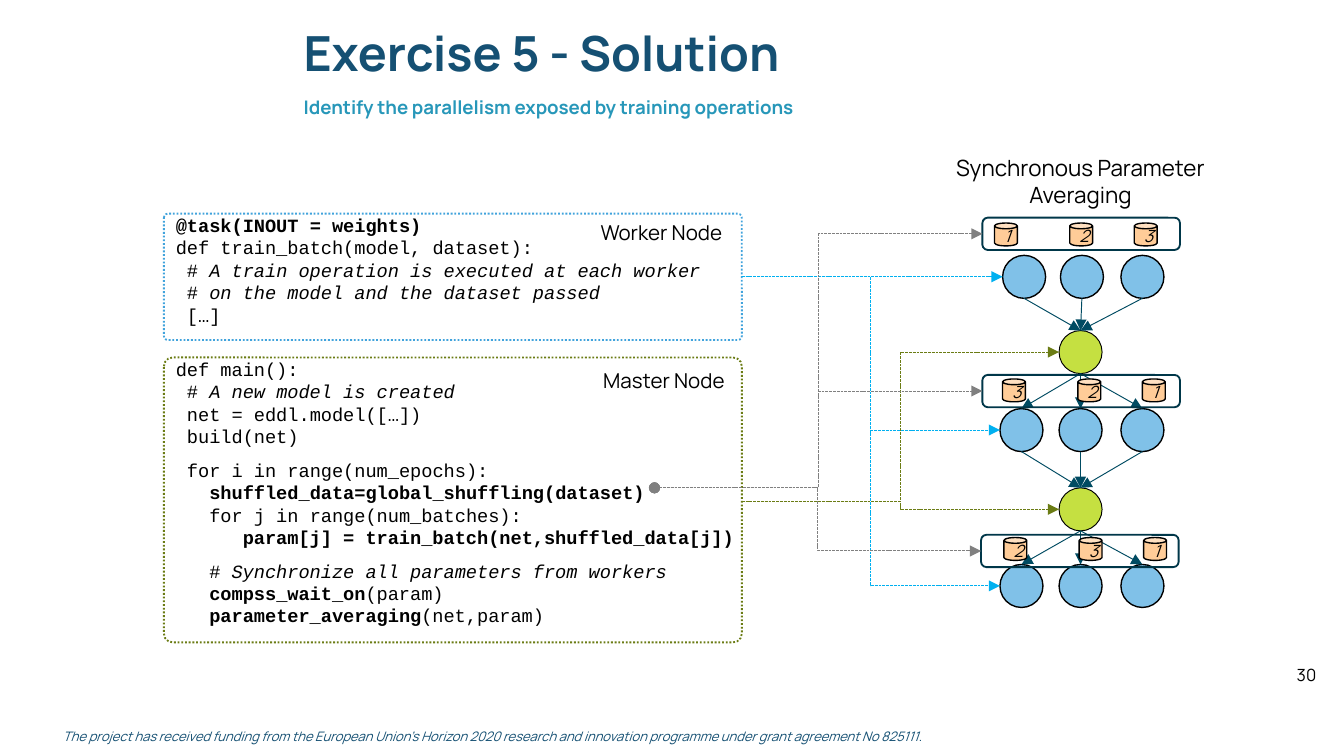
from lxml import etree
from pptx import Presentation
from pptx import util as u
from pptx.dml.color import RGBColor
from pptx.enum import dml, shapes, text
from pptx.oxml import ns

BLACK = RGBColor(0x00, 0x00, 0x00)
WHITE = RGBColor(0xFF, 0xFF, 0xFF)
NAVY = RGBColor(0x15, 0x50, 0x73)
TEAL = RGBColor(0x27, 0x97, 0xB9)
WORKER_BLUE = RGBColor(0x80, 0xC1, 0xE8)
AVERAGE_LIME = RGBColor(0xC5, 0xE0, 0x41)
DATA_PEACH = RGBColor(0xFF, 0xCC, 0x98)
FLOW = RGBColor(0x00, 0x4B, 0x62)
FRAME = RGBColor(0x00, 0x37, 0x49)
OLIVE = RGBColor(0x6B, 0x7C, 0x14)
SKY = RGBColor(0x41, 0xA3, 0xDC)
CYAN = RGBColor(0x00, 0xB0, 0xF0)
GRAY = RGBColor(0x80, 0x80, 0x80)

SHAPE = shapes.MSO_SHAPE
DASH = dml.MSO_LINE
NODE = 0.32
CAN = 0.17
CAN_OFFSETS = (0, 0.56, 1.04)
WORKER_ROWS = (
    (1.9, (7.46, 7.89, 8.34)),
    (3.04, (7.44, 7.88, 8.34)),
    (4.2, (7.44, 7.88, 8.34)),
)
AVERAGE_LEFT = 7.88
AVERAGE_TOPS = (2.46, 3.63)
DATA_ROWS = (
    (7.31, 1.62, 7.4, 1.66, "123"),
    (7.31, 2.79, 7.46, 2.82, "321"),
    (7.3, 3.98, 7.47, 4, "231"),
)
CODE = (
    (0, [("@task(INOUT = weights)", "b")]),
    (0, [("def train_batch(model, dataset):", "")]),
    (0, [(" # ", ""), ("A train operation is executed at each worker", "i")]),
    (0, [(" # ", ""), ("on the model and the dataset passed", "i")]),
    (0, [(" […]", "")]),
    (17, [("def main():", "")]),
    (0, [(" # ", ""), ("A new model is created", "i")]),
    (0, [(" net = eddl.model([…])", "")]),
    (0, [(" build(net)", "")]),
    (6, [(" for i in range(num_epochs):", "")]),
    (0, [("   shuffled_data=global_shuffling(dataset)", "b")]),
    (0, [("   for j in range(num_batches):", "")]),
    (0, [("      ", ""), ("param[j] = train_batch(net,shuffled_data[j])", "b")]),
    (6, [("   # ", ""), ("Synchronize all parameters from workers", "i")]),
    (0, [("   ", ""), ("compss_wait_on", "b"), ("(param)", "")]),
    (0, [("   ", ""), ("parameter_averaging", "b"), ("(net,param)", "")]),
)


def set_font(paragraph, size, color=BLACK, name="Manrope", bold=None, italic=None):
    """Set the font that all runs of a paragraph share."""
    font = paragraph.font
    font.name, font.size, font.bold, font.italic = name, u.Pt(size), bold, italic
    font.color.rgb = color


def add_label(slide, box, words, size, color=BLACK, wrap=True, align=None,
              left_inset=0.1, line_spacing=None, **style):
    """Add a one-paragraph text box and return its paragraph."""
    frame = slide.shapes.add_textbox(*map(u.Inches, box)).text_frame
    frame.word_wrap = wrap
    frame.margin_left = u.Inches(left_inset)
    paragraph = frame.paragraphs[0]
    paragraph.text = words
    paragraph.alignment = align
    paragraph.line_spacing = line_spacing
    set_font(paragraph, size, color, **style)
    return paragraph


def add_form(slide, kind, box, fill=None, line=None, width=0.75, dash=None, corner=None):
    """Add a preset shape with its fill and outline."""
    form = slide.shapes.add_shape(kind, *map(u.Inches, box))
    form.shadow.inherit = False
    if fill is None:
        form.fill.background()
    else:
        form.fill.solid()
        form.fill.fore_color.rgb = fill
    if line is None:
        form.line.fill.background()
    else:
        form.line.color.rgb = line
        form.line.width = u.Pt(width)
    if dash is not None:
        form.line.dash_style = dash
    if corner is not None:
        form.adjustments[0] = corner
    return form


def add_arrow(slide, start, end, color, bent=False, head=None):
    """Add an arrow, straight or as a dashed elbow."""
    kind = shapes.MSO_CONNECTOR.ELBOW if bent else shapes.MSO_CONNECTOR.STRAIGHT
    arrow = slide.shapes.add_connector(kind, *map(u.Inches, (*start, *end)))
    arrow.line.color.rgb = color
    arrow.line.width = u.Pt(0.5)
    if bent:
        arrow.line.dash_style = DASH.SQUARE_DOT
    outline = arrow.line._get_or_add_ln()
    if head:
        etree.SubElement(outline, ns.qn("a:headEnd"), type=head)
    etree.SubElement(outline, ns.qn("a:tailEnd"), type="triangle")
    etree.SubElement(arrow._element.spPr, ns.qn("a:effectLst"))


def add_code(slide):
    """Add the code listing on its white panel."""
    panel = add_form(slide, SHAPE.RECTANGLE, (1.21, 1.54, 4.38, 3.38), fill=WHITE)
    frame = panel.text_frame
    frame.vertical_anchor = text.MSO_ANCHOR.TOP
    for number, (gap, pieces) in enumerate(CODE):
        paragraph = frame.add_paragraph() if number else frame.paragraphs[0]
        paragraph.alignment = text.PP_ALIGN.JUSTIFY
        if gap:
            paragraph.space_before = u.Pt(gap)
        set_font(paragraph, 10, name="Courier New")
        for words, style in pieces:
            run = paragraph.add_run()
            run.text = words
            run.font.bold = "b" in style
            run.font.italic = "i" in style


def add_network(slide):
    """Add the worker and averaging nodes and the flow between them."""
    for top, lefts in WORKER_ROWS:
        for left in lefts:
            add_form(slide, SHAPE.OVAL, (left, top, NODE, NODE), WORKER_BLUE, BLACK)
    middle = AVERAGE_LEFT + NODE / 2
    for average_top, before, after in zip(AVERAGE_TOPS, WORKER_ROWS, WORKER_ROWS[1:]):
        add_form(slide, SHAPE.OVAL, (AVERAGE_LEFT, average_top, NODE, NODE),
                 AVERAGE_LIME, BLACK, 0.5)
        for left in before[1]:
            add_arrow(slide, (left + NODE / 2, before[0] + NODE), (middle, average_top), FLOW)
        for left in after[1]:
            add_arrow(slide, (middle, average_top + NODE), (left + NODE / 2, after[0]), FLOW)


def add_data_row(slide, frame_left, frame_top, can_left, can_top, order):
    """Add one frame with its shuffled data partitions."""
    add_form(slide, SHAPE.ROUNDED_RECTANGLE, (frame_left, frame_top, 1.47, 0.24),
             line=FRAME, width=1)
    for offset, number in zip(CAN_OFFSETS, order):
        partition = add_form(slide, SHAPE.CAN, (can_left + offset, can_top, CAN, CAN),
                             DATA_PEACH, BLACK)
        paragraph = partition.text_frame.paragraphs[0]
        paragraph.text = number
        paragraph.alignment = text.PP_ALIGN.CENTER
        set_font(paragraph, 9, italic=True)


def add_code_region(slide, top, height, color, label, label_box):
    """Add a dotted outline around a code part and name its node."""
    add_form(slide, SHAPE.ROUNDED_RECTANGLE, (1.22, top, 4.3, height), line=color,
             width=1, dash=DASH.ROUND_DOT, corner=0.031)
    add_label(slide, label_box, label, 11, wrap=False)


def add_links(slide):
    """Link the code parts to the nodes and data that they produce."""
    for top in AVERAGE_TOPS:
        add_arrow(slide, (5.52, 3.73), (AVERAGE_LEFT, top + NODE / 2), OLIVE, bent=True)
    for top, lefts in WORKER_ROWS:
        add_arrow(slide, (5.52, 2.06), (lefts[0], top + NODE / 2), CYAN, bent=True)
    for frame_left, frame_top, *_ in DATA_ROWS:
        add_arrow(slide, (4.87, 3.63), (frame_left, frame_top + 0.12), GRAY,
                  bent=True, head="oval")


def main():
    """Build the slide and save it."""
    deck = Presentation()
    deck.slide_width = u.Inches(10)
    deck.slide_height = deck.slide_width * 9 // 16
    slide = deck.slides.add_slide(deck.slide_layouts[6])

    add_label(slide, (9.55, 4.9, 0.38, 0.25), "30", 9, wrap=False)
    funding = add_label(
        slide, (0.37, 5.37, 6.74, 0.22),
        "The project has received funding from the European Union’s Horizon 2020 research "
        "and innovation programme under grant agreement No 825111", 7, NAVY, italic=True)
    stop = funding.add_run()
    stop.text = "."
    stop.font.italic = False

    add_code(slide)
    add_label(slide, (2.26, 0.24, 6.7, 0.43), "Exercise 5 - Solution", 25.9, NAVY,
              left_inset=0, line_spacing=0.7, bold=True)
    add_label(slide, (2.26, 0.68, 6.61, 0.24),
              "Identify the parallelism exposed by training operations", 10, TEAL,
              left_inset=0, line_spacing=0.9, bold=True)
    add_network(slide)
    add_label(slide, (6.96, 1.1, 2.16, 0.5), "Synchronous Parameter Averaging", 12,
              align=text.PP_ALIGN.CENTER)
    for row in DATA_ROWS:
        add_data_row(slide, *row)
    add_code_region(slide, 2.66, 2.12, OLIVE, "Master Node", (4.39, 2.69, 1.13, 0.29))
    add_code_region(slide, 1.59, 0.94, SKY, "Worker Node", (4.37, 1.59, 1.15, 0.29))
    add_links(slide)
    deck.save("out.pptx")


if __name__ == "__main__":
    main()
